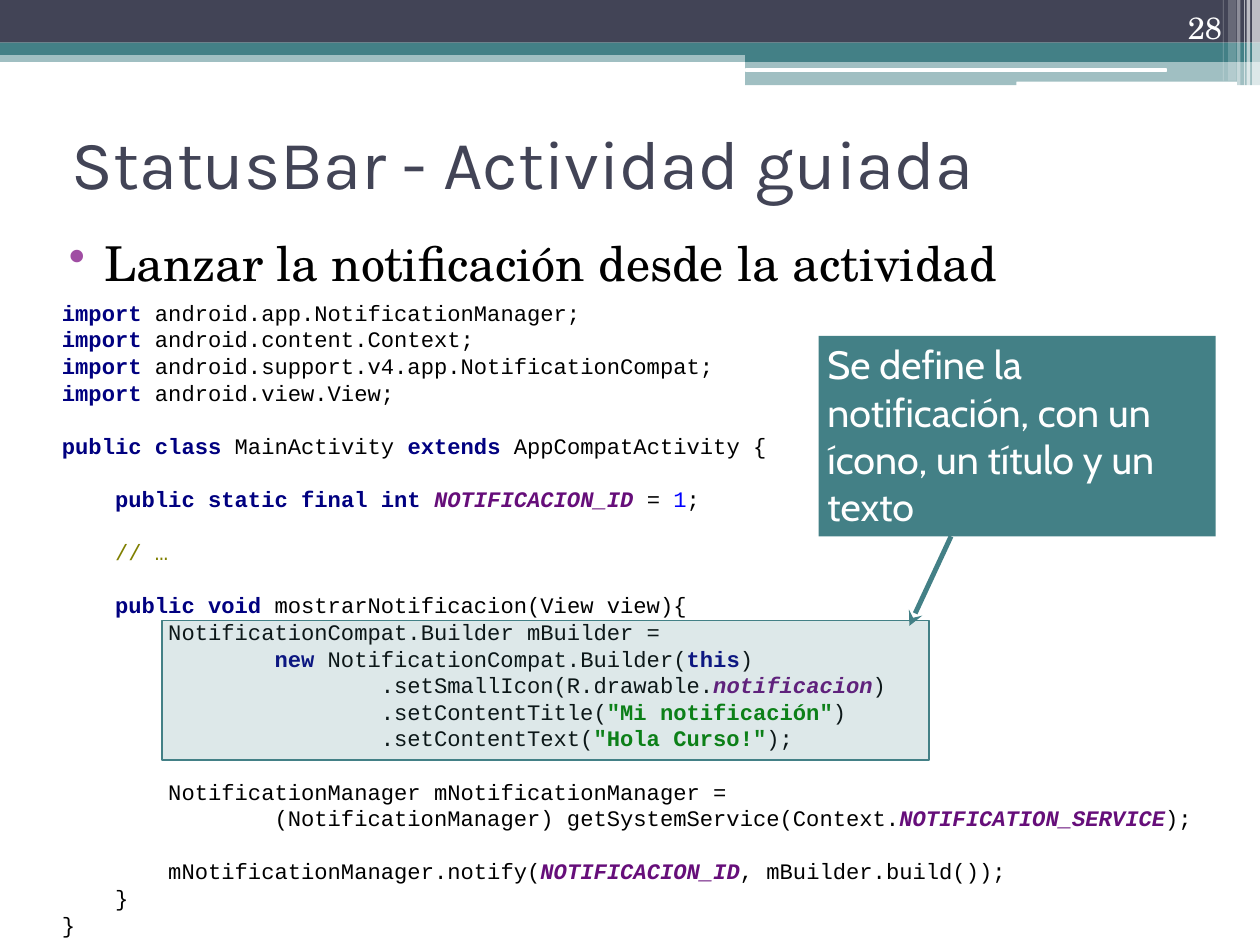
from pptx import Presentation
from pptx.dml.color import RGBColor
from pptx.enum.shapes import MSO_CONNECTOR, MSO_SHAPE
from pptx.enum.text import MSO_ANCHOR, PP_ALIGN
from pptx.oxml.ns import qn
from pptx.util import Inches, Pt
from lxml import etree

RECT, ROUND = MSO_SHAPE.RECTANGLE, MSO_SHAPE.ROUNDED_RECTANGLE
TOP, MID, BASE = MSO_ANCHOR.TOP, MSO_ANCHOR.MIDDLE, MSO_ANCHOR.BOTTOM
LEFT, RIGHT = PP_ALIGN.LEFT, PP_ALIGN.RIGHT
STRAIGHT = MSO_CONNECTOR.STRAIGHT


class Theme:
    teal, navy, white, black, plum = "438086", "424456", "FFFFFF", "000000", "A04DA3"
    title = {"name": "Karla", "size": Pt(56), "color": navy}
    body = {"name": "TeX Gyre Schola", "size": Pt(39), "color": black}
    number = {"name": "TeX Gyre Schola", "size": Pt(25), "color": white}
    note = {"name": "Cabin", "size": Pt(32), "color": white}
    code = {"name": "Courier New", "size": Pt(18)}
    pitch = Pt(21.6)
    tab = 0.6  # four characters of code
    styles = {
        "plain": {"color": black},
        "key": {"color": "000080", "bold": True},
        "const": {"color": "660E7A", "bold": True, "italic": True},
        "num": {"color": "0000FF"},
        "rem": {"color": "808000"},
        "str": {"color": "008000", "bold": True},
    }


# Each line: indent level, gap above in lines, then runs of (style, text)
CODE = [
    (0, 0, ("key", "import "), ("plain", "android.app.NotificationManager;")),
    (0, 0, ("key", "import "), ("plain", "android.content.Context;")),
    (0, 0, ("key", "import "), ("plain", "android.support.v4.app.NotificationCompat;")),
    (0, 0, ("key", "import "), ("plain", "android.view.View;")),
    (0, 1, ("key", "public class "), ("plain", "MainActivity "),
     ("key", "extends "), ("plain", "AppCompatActivity {")),
    (1, 1, ("key", "public static final int "), ("const", "NOTIFICACION_ID "),
     ("plain", "= "), ("num", "1"), ("plain", ";")),
    (1, 1, ("rem", "// …")),
    (1, 1, ("key", "public void "), ("plain", "mostrarNotificacion(View view){")),
    (2, 0, ("plain", "NotificationCompat.Builder mBuilder =")),
    (4, 0, ("key", "new "), ("plain", "NotificationCompat.Builder("),
     ("key", "this"), ("plain", ")")),
    (6, 0, ("plain", ".setSmallIcon(R.drawable."), ("const", "notificacion"), ("plain", ")")),
    (6, 0, ("plain", ".setContentTitle("), ("str", '"Mi notificación"'), ("plain", ")")),
    (6, 0, ("plain", ".setContentText("), ("str", '"Hola Curso!"'), ("plain", ");")),
    (2, 1, ("plain", "NotificationManager mNotificationManager =")),
    (4, 0, ("plain", "(NotificationManager) getSystemService(Context."),
     ("const", "NOTIFICATION_SERVICE"), ("plain", ");")),
    (2, 1, ("plain", "mNotificationManager.notify("), ("const", "NOTIFICACION_ID"),
     ("plain", ", mBuilder.build());")),
    (1, 0, ("plain", "}")),
    (0, 0, ("plain", "}")),
]


def rgb(code):
    return RGBColor.from_string(code)


def block(slide, box, color, alpha=100, kind=RECT):
    """Add a filled shape without line or shadow; alpha is opacity in percent."""
    shape = slide.shapes.add_shape(kind, *map(Inches, box))
    shape.shadow.inherit = False
    shape.fill.solid()
    shape.fill.fore_color.rgb = rgb(color)
    shape.line.fill.background()
    if alpha < 100:
        tint = shape._element.spPr.find(qn("a:solidFill"))[0]
        etree.SubElement(tint, qn("a:alpha"), val=str(alpha * 1000))
    return shape


def add_run(para, text, form):
    run = para.add_run()
    run.text = text
    for name, value in form.items():
        if name == "color":
            run.font.color.rgb = rgb(value)
        else:
            setattr(run.font, name, value)


def set_frame(shape, anchor):
    frame = shape.text_frame
    frame.word_wrap = True
    frame.vertical_anchor = anchor
    return frame.paragraphs[0]


def label(slide, box, text, form, anchor=TOP, align=LEFT):
    para = set_frame(slide.shapes.add_textbox(*map(Inches, box)), anchor)
    para.alignment = align
    add_run(para, text, form)
    return para


def header(slide, width):
    """Draw the bands across the top and the pale stripes at their right end."""
    half = 8.41
    rest = width - half
    for box, color, alpha in [
        ((0, 0.57, width, 0.13), Theme.teal, 50),
        ((0, 0, width, 0.48), Theme.navy, 100),
        ((0, 0.48, width, 0.14), Theme.teal, 100),
        ((half, 0.56, rest, 0.14), Theme.teal, 100),
        ((half, 0.68, rest, 0.28), Theme.teal, 50),
    ]:
        block(slide, box, color, alpha)
    for box in [(half, 0.77, 4.76, 0.04), (11.47, 0.92, 2.49, 0.06)]:
        block(slide, box, Theme.white, kind=ROUND)
    for left, wide, high, alpha in [
        (14.13, 0.09, 0.97, 65), (14.07, 0.04, 0.97, 65), (14.04, 0.01, 0.97, 60),
        (13.96, 0.04, 0.97, 40), (13.86, 0.09, 0.91, 20), (13.8, 0.01, 0.91, 30),
    ]:
        block(slide, (left, 0, wide, high), Theme.white, alpha)


def bullet(slide, box, text):
    para = label(slide, box, text, Theme.body)
    para.line_spacing, para.space_before = Pt(50), Pt(4.2)
    props = para._p.get_or_add_pPr()
    props.set("marL", str(Inches(0.57)))
    props.set("indent", str(Inches(-0.4)))
    tint = etree.SubElement(props, qn("a:buClr"))
    etree.SubElement(tint, qn("a:srgbClr"), val=Theme.plum)
    etree.SubElement(props, qn("a:buChar"), char="•")


def listing(slide, box):
    """Set the code, one paragraph a line."""
    shape = block(slide, box, Theme.white)
    para = set_frame(shape, MID)
    for row, (level, gap, *runs) in enumerate(CODE):
        if row:
            para = shape.text_frame.add_paragraph()
        para.alignment = LEFT
        para.space_before = gap * Theme.pitch
        para._p.get_or_add_pPr().set("marL", str(Inches(level * Theme.tab)))
        for style, text in runs:
            add_run(para, text, Theme.code | Theme.styles[style])


def marker(slide, box):
    """Tint the lines of code that the callout explains."""
    shape = block(slide, box, Theme.teal, 18)
    shape.line.color.rgb = rgb(Theme.teal)
    shape.line.width = Pt(1.5)


def callout(slide, box, text):
    """Place the note, with an arrow from its lower edge to the marked code."""
    left, top, wide, high = box
    para = set_frame(block(slide, box, Theme.teal), TOP)
    para.alignment = LEFT
    add_run(para, text, Theme.note)
    start, base = left + wide / 3, top + high
    ends = (start, base, start - 0.47, base + 1.01)
    arrow = slide.shapes.add_connector(STRAIGHT, *map(Inches, ends))
    arrow.line.color.rgb = rgb(Theme.teal)
    arrow.line.width = Pt(4)
    etree.SubElement(arrow.line._get_or_add_ln(), qn("a:tailEnd"), type="stealth")
    etree.SubElement(arrow._element.spPr, qn("a:effectLst"))


def main():
    deck = Presentation()
    width, height = 14.22, 10.66
    deck.slide_width, deck.slide_height = Inches(width), Inches(height)
    slide = deck.slides.add_slide(deck.slide_layouts[6])
    header(slide, width)
    label(slide, (0.71, 1, 12.8, 1.66), "StatusBar - Actividad guiada", Theme.title, MID)
    bullet(slide, (0.51, 2.54, 12.8, 7.41), "Lanzar la notificación desde la actividad")
    label(slide, (12.71, 0, 1.18, 0.57), "28", Theme.number, BASE, RIGHT)
    listing(slide, (0.6, 3.29, 13.02, 7.37))
    marker(slide, (1.83, 7, 8.66, 1.57))
    callout(slide, (9.24, 3.79, 4.48, 2.26),
            "Se define la notificación, con un ícono, un título y un texto")
    deck.save("out.pptx")


if __name__ == "__main__":
    main()
